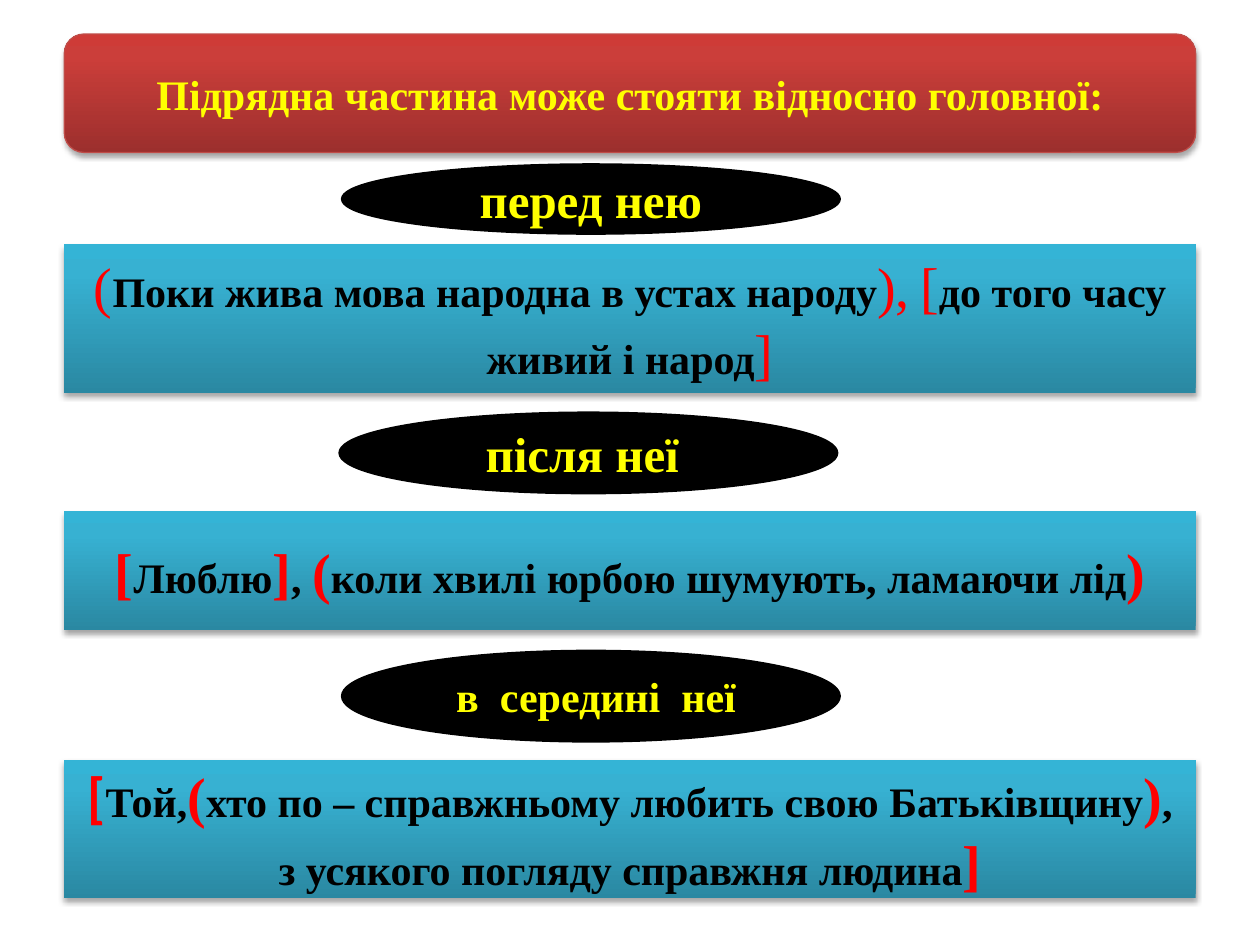
from dataclasses import dataclass

from lxml.etree import SubElement
from pptx import Presentation
from pptx.dml.color import RGBColor
from pptx.enum.shapes import MSO_SHAPE
from pptx.enum.text import MSO_ANCHOR, PP_ALIGN
from pptx.oxml.ns import qn
from pptx.shapes.autoshape import Shape
from pptx.slide import Slide
from pptx.util import Inches, Pt


@dataclass(frozen=True)
class Theme:
    font: str = "Times New Roman"
    bracket_font: str = "Calibri"
    highlight: str = "FFFF00"
    bracket: str = "FF0000"
    ink: str = "000000"
    title_line: str = "BF4C48"
    red_stops: tuple[str, ...] = ("9C2F2D", "CB3E3A", "CE3B37")
    blue_stops: tuple[str, ...] = ("2A88A2", "37B1D2", "34B4D6")
    stop_positions: tuple[int, ...] = (0, 80, 100)
    body_size: int = 24
    label_size: int = 28
    bracket_size: int = 32


@dataclass(frozen=True)
class Segment:
    text: str
    bracket: bool = False
    bold: bool = True
    font: str | None = None


@dataclass(frozen=True)
class Label:
    text: str
    left: float
    top: float
    height: float
    size: int


@dataclass(frozen=True)
class Example:
    top: float
    height: float
    segments: tuple[Segment, ...]


THEME = Theme()
BAND_LEFT, BAND_WIDTH, LABEL_WIDTH = 0.51, 8.98, 3.94
TITLE_TOP, TITLE_HEIGHT = 0.27, 0.94

LABELS = (
    Label("перед нею", 2.72, 1.31, 0.54, THEME.label_size),
    Label("після неї ", 2.7, 3.28, 0.63, THEME.label_size),
    Label(" в  середині  неї", 2.72, 5.17, 0.71, THEME.body_size),
)

EXAMPLES = (
    Example(1.94, 1.18, (
        Segment("(", True, False),
        Segment("Поки жива мова народна в устах народу"),
        Segment("),", True, False),
        Segment(" ", bold=False),
        Segment("[", True, False),
        Segment("до того часу живий і народ"),
        Segment("]", True, False),
    )),
    Example(4.06, 0.94, (
        Segment("[", True),
        Segment("Люблю"),
        Segment("]", True),
        Segment(", "),
        Segment("(", True),
        Segment("коли хвилі юрбою шумують, ламаючи лід"),
        Segment(")", True),
    )),
    Example(6.03, 1.1, (
        Segment("[", True, font=THEME.bracket_font),
        Segment("Той,"),
        Segment("(", True),
        Segment("хто по – справжньому любить свою Батьківщину"),
        Segment(")", True),
        Segment(", з усякого погляду справжня людина"),
        Segment("]", True),
    )),
)


def color(value: str) -> RGBColor:
    return RGBColor.from_string(value)


def add_shape(slide: Slide, kind: MSO_SHAPE, left: float, top: float,
              width: float, height: float) -> Shape:
    shape = slide.shapes.add_shape(
        kind, Inches(left), Inches(top), Inches(width), Inches(height))
    shape.shadow.inherit = False
    shape.text_frame.vertical_anchor = MSO_ANCHOR.MIDDLE
    return shape


def add_band(slide: Slide, kind: MSO_SHAPE, top: float, height: float,
             stops: tuple[str, ...]) -> Shape:
    shape = add_shape(slide, kind, BAND_LEFT, top, BAND_WIDTH, height)
    shape.line.fill.background()
    shape.fill.gradient()
    shape.fill.gradient_angle = 90
    properties = shape.element.spPr
    stop_list = properties.find(qn("a:gradFill")).find(qn("a:gsLst"))
    for old_stop in list(stop_list):
        stop_list.remove(old_stop)
    for position, value in zip(THEME.stop_positions, stops):
        stop = SubElement(stop_list, qn("a:gs"), pos=str(position * 1000))
        SubElement(stop, qn("a:srgbClr"), val=value)
    shadow = SubElement(
        properties.find(qn("a:effectLst")), qn("a:outerShdw"),
        blurRad=str(Pt(3.1)), dist=str(Pt(1.8)), dir="5400000", rotWithShape="0")
    shadow_color = SubElement(shadow, qn("a:srgbClr"), val=THEME.ink)
    SubElement(shadow_color, qn("a:alpha"), val="35000")
    return shape


def write_highlight(shape: Shape, text: str, size: int) -> None:
    shape.text_frame.text = text
    paragraph = shape.text_frame.paragraphs[0]
    paragraph.alignment = PP_ALIGN.CENTER
    paragraph.font.name = THEME.font
    paragraph.font.size = Pt(size)
    paragraph.font.bold = True
    paragraph.font.color.rgb = color(THEME.highlight)


def add_title(slide: Slide, text: str) -> None:
    band = add_band(slide, MSO_SHAPE.ROUNDED_RECTANGLE, TITLE_TOP, TITLE_HEIGHT,
                    THEME.red_stops)
    band.line.color.rgb = color(THEME.title_line)
    band.line.width = Pt(0.75)
    title = slide.shapes.title
    title.left, title.top = band.left, band.top
    title.width, title.height = band.width, band.height
    title.text_frame.vertical_anchor = MSO_ANCHOR.MIDDLE
    write_highlight(title, text, THEME.body_size)
    band.element.addnext(title.element)


def add_label(slide: Slide, label: Label) -> None:
    shape = add_shape(slide, MSO_SHAPE.OVAL, label.left, label.top,
                      LABEL_WIDTH, label.height)
    shape.fill.solid()
    shape.fill.fore_color.rgb = color(THEME.ink)
    shape.line.color.rgb = color(THEME.ink)
    shape.line.width = Pt(2)
    write_highlight(shape, label.text, label.size)


def add_example(slide: Slide, example: Example) -> None:
    shape = add_band(slide, MSO_SHAPE.RECTANGLE, example.top, example.height,
                     THEME.blue_stops)
    paragraph = shape.text_frame.paragraphs[0]
    paragraph.alignment = PP_ALIGN.CENTER
    for segment in example.segments:
        run = paragraph.add_run()
        run.text = segment.text
        run.font.name = segment.font or THEME.font
        run.font.bold = segment.bold
        run.font.size = Pt(THEME.bracket_size if segment.bracket else THEME.body_size)
        run.font.color.rgb = color(THEME.bracket if segment.bracket else THEME.ink)


def main() -> None:
    """Build the slide on where a subordinate clause may stand."""
    presentation = Presentation()
    presentation.slide_width, presentation.slide_height = Inches(10), Inches(7.5)
    slide = presentation.slides.add_slide(presentation.slide_layouts[5])
    add_title(slide, "Підрядна частина може стояти відносно головної:")
    for label in LABELS:
        add_label(slide, label)
    for example in EXAMPLES:
        add_example(slide, example)
    presentation.save("out.pptx")


if __name__ == "__main__":
    main()
